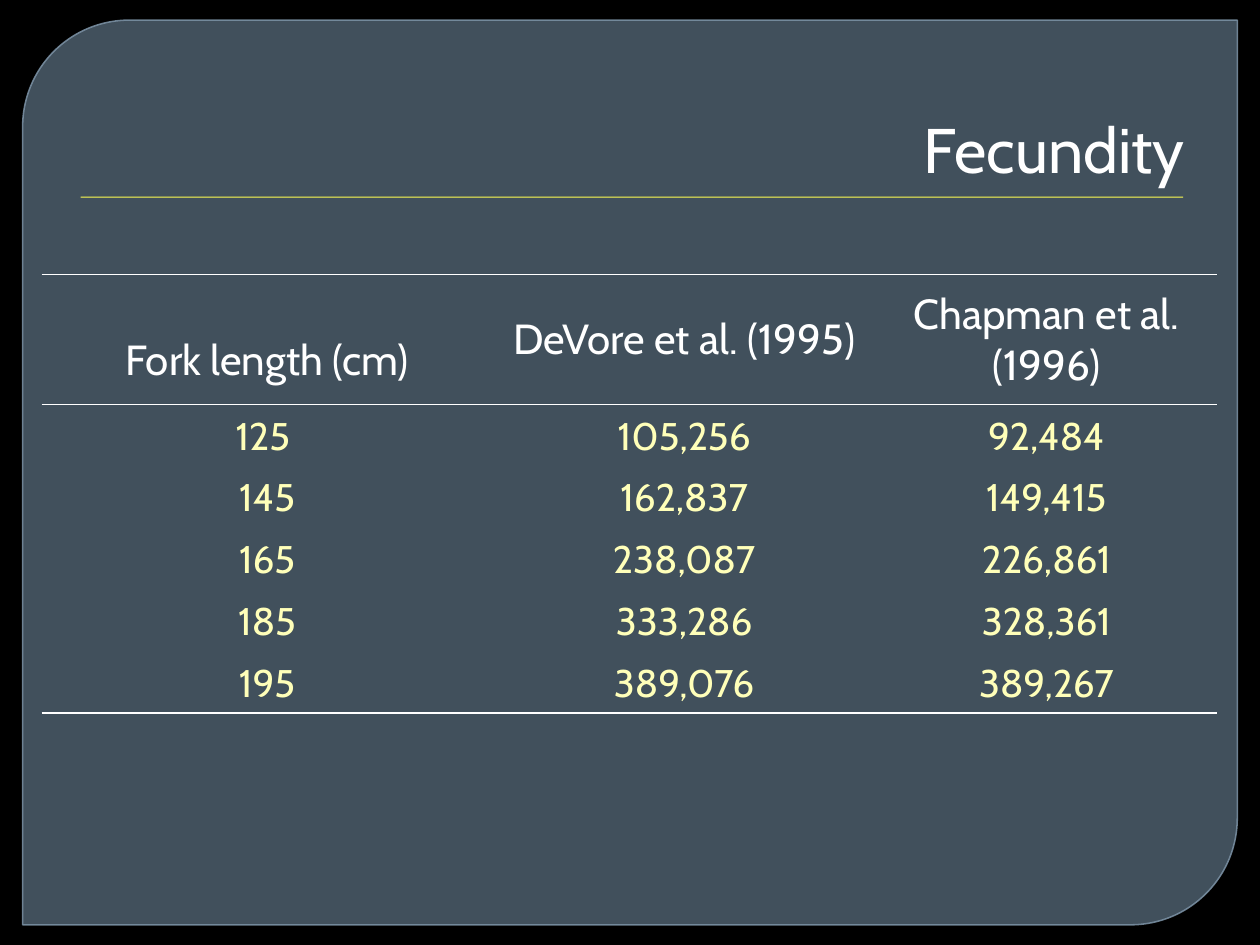
from dataclasses import dataclass

from lxml import etree
from pptx import Presentation
from pptx.dml.color import RGBColor
from pptx.enum.shapes import MSO_SHAPE
from pptx.enum.text import MSO_ANCHOR, PP_ALIGN
from pptx.oxml.ns import qn
from pptx.util import Inches, Pt

PANEL_SHAPE = MSO_SHAPE.ROUND_2_DIAG_RECTANGLE
RECTANGLE = MSO_SHAPE.RECTANGLE
MIDDLE, BOTTOM = MSO_ANCHOR.MIDDLE, MSO_ANCHOR.BOTTOM
CENTER, RIGHT = PP_ALIGN.CENTER, PP_ALIGN.RIGHT


@dataclass(frozen=True)
class Theme:
    font: str = "Cabin"
    background: str = "000000"
    panel: str = "647B8E"
    panel_line: str = "7B91A4"
    accent: str = "FFFF51"
    text: str = "FFFFFF"
    value: str = "FFFFB9"
    title_size: int = 36
    header_size: int = 24
    value_size: int = 22


THEME = Theme()
COLUMN_WIDTHS = (3.58, 3.04, 2.71)
HEADER_HEIGHT, ROW_HEIGHT = 1.03, 0.49
ROWS = (
    ("Fork length (cm)", "DeVore et al. (1995)", "Chapman et al. (1996)"),
    ("125 ", "105,256", "92,484"),
    ("145", "162,837", "149,415"),
    ("165", "238,087", "226,861"),
    ("185", "333,286", "328,361"),
    ("195", "389,076", "389,267"),
)


def color(value):
    return RGBColor.from_string(value)


def set_opacity(fill_parent, percent):
    target = fill_parent.find(qn("a:solidFill"))[0]
    etree.SubElement(target, qn("a:alpha"), val=str(percent * 1000))


def add_filled_shape(page, kind, bounds, fill):
    shape = page.shapes.add_shape(kind, *map(Inches, bounds))
    shape.shadow.inherit = False
    shape.fill.solid()
    shape.fill.fore_color.rgb = color(fill)
    shape.line.fill.background()
    return shape


def add_panel(page):
    panel = add_filled_shape(page, PANEL_SHAPE, (0.18, 0.16, 9.64, 7.18), THEME.panel)
    panel.adjustments[0] = 0.118
    panel.adjustments[1] = 0
    panel.line.color.rgb = color(THEME.panel_line)
    panel.line.width = Pt(0.87)
    properties = panel._element.spPr
    set_opacity(properties, 65)
    set_opacity(properties.find(qn("a:ln")), 88)


def write_text(frame, text, size, fill, alignment):
    para = frame.paragraphs[0]
    para.alignment = alignment
    span = para.add_run()
    span.text = text
    span.font.name = THEME.font
    span.font.size = Pt(size)
    span.font.color.rgb = color(fill)


def add_title(page, text):
    box = page.shapes.add_textbox(Inches(0.5), Inches(0.28), Inches(9), Inches(1.25))
    frame = box.text_frame
    frame.word_wrap = True
    frame.vertical_anchor = BOTTOM
    write_text(frame, text, THEME.title_size, THEME.text, RIGHT)


def set_borders(cell, visible_sides):
    properties = cell._tc.get_or_add_tcPr()
    for position, side in enumerate("LRTB"):
        border = etree.Element(qn(f"a:ln{side}"), w=str(Pt(1)))
        if side in visible_sides:
            fill = etree.SubElement(border, qn("a:solidFill"))
            etree.SubElement(fill, qn("a:srgbClr"), val=THEME.text)
        else:
            etree.SubElement(border, qn("a:noFill"))
        properties.insert(position, border)


def visible_sides(row_index):
    if row_index == 0:
        return "TB"
    if row_index == 1:
        return "T"
    return "B" if row_index == len(ROWS) - 1 else ""


def add_fecundity_table(page):
    heights = [HEADER_HEIGHT] + [ROW_HEIGHT] * (len(ROWS) - 1)
    table = page.shapes.add_table(
        len(ROWS), len(COLUMN_WIDTHS), Inches(0.33), Inches(2.18),
        Inches(sum(COLUMN_WIDTHS)), Inches(sum(heights)),
    ).table
    table.horz_banding = False
    table.first_row = False
    for column, width in zip(table.columns, COLUMN_WIDTHS):
        column.width = Inches(width)
    for row_index, (values, height) in enumerate(zip(ROWS, heights)):
        table.rows[row_index].height = Inches(height)
        is_header = row_index == 0
        size = THEME.header_size if is_header else THEME.value_size
        fill = THEME.text if is_header else THEME.value
        for column_index, text in enumerate(values):
            cell = table.cell(row_index, column_index)
            cell.fill.background()
            cell.vertical_anchor = MIDDLE if is_header else BOTTOM
            set_borders(cell, visible_sides(row_index))
            write_text(cell.text_frame, text, size, fill, CENTER)
    table.cell(0, 0).margin_top = Inches(0.38)


def main():
    deck = Presentation()
    deck.slide_width, deck.slide_height = Inches(10), Inches(7.5)
    page = deck.slides.add_slide(deck.slide_layouts[6])
    page.background.fill.solid()
    page.background.fill.fore_color.rgb = color(THEME.background)
    add_panel(page)
    add_filled_shape(page, RECTANGLE, (0.64, 1.56, 8.75, 0.01), THEME.accent)
    add_title(page, "Fecundity")
    add_fecundity_table(page)
    deck.save("out.pptx")


if __name__ == "__main__":
    main()
